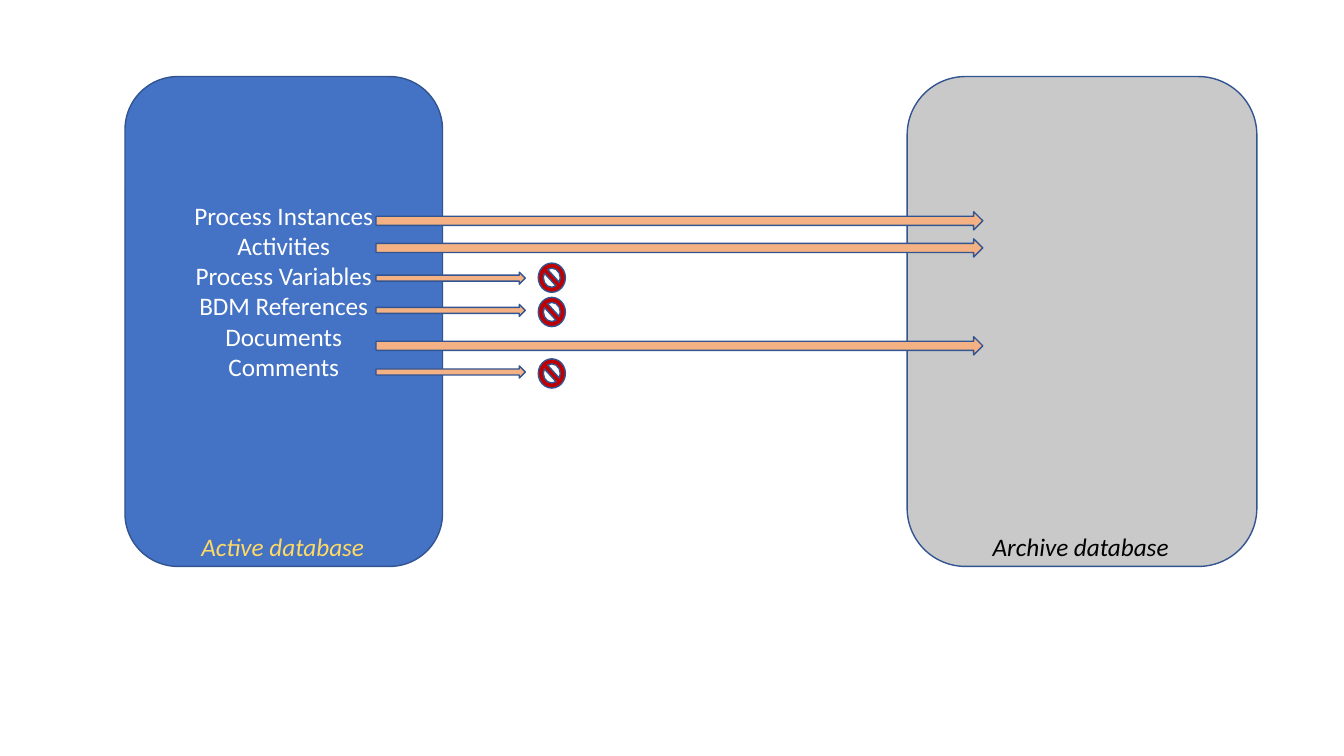
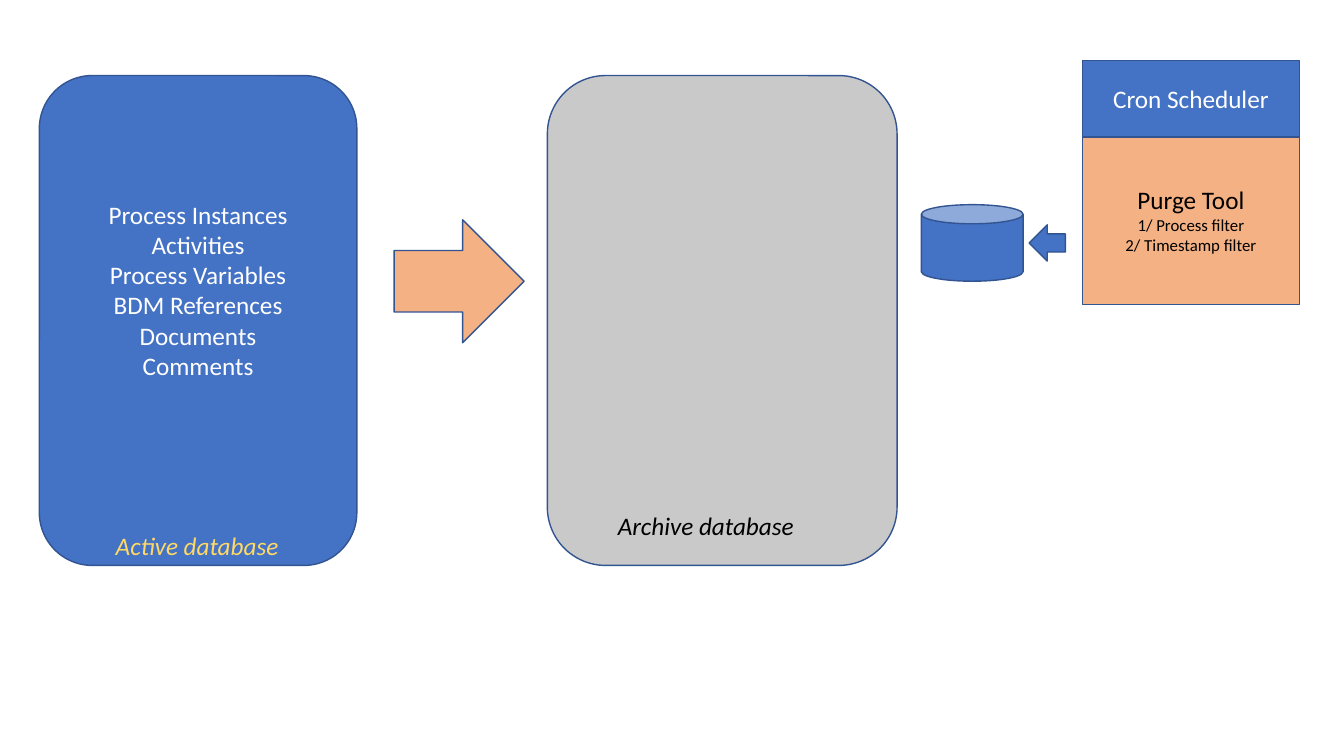
import pptx
import pptx.dml.color
import pptx.enum.shapes
import pptx.enum.text
import pptx.util

Pt = pptx.util.Pt
RGBColor = pptx.dml.color.RGBColor
SHAPE = pptx.enum.shapes.MSO_SHAPE
ALIGN = pptx.enum.text.PP_ALIGN
ANCHOR = pptx.enum.text.MSO_ANCHOR
AUTO_SIZE = pptx.enum.text.MSO_AUTO_SIZE

BLUE = RGBColor(0x44, 0x72, 0xC4)
OUTLINE = RGBColor(0x32, 0x54, 0x91)
GRAY = RGBColor(0xC9, 0xC9, 0xC9)
ORANGE = RGBColor(0xF4, 0xB1, 0x83)
YELLOW = RGBColor(0xFF, 0xD9, 0x66)
RED = RGBColor(0xC0, 0x00, 0x00)
WHITE = RGBColor(0xFF, 0xFF, 0xFF)
BLACK = RGBColor(0x00, 0x00, 0x00)

FONT = "Calibri"
BODY_SIZE = 18
DETAIL_SIZE = 12
DATABASE_HEIGHT = 349.9
ACTIVE_WIDTH = 226.8
ARCHIVE_WIDTH = 249.8
# Room kept under the record list, so that it sits above the middle.
LIST_BOTTOM_INSET = 47.5

# Each record type, the top of its arrow, and the top of its stop sign
# when it is not archived.
RECORDS = [
    ("Process Instances", 151.2, None),
    ("Activities", 170.6, None),
    ("Process Variables", 194.4, 187.9),
    ("BDM References", 217.4, 212.4),
    ("Documents", 240.5, None),
    ("Comments", 261.4, 256.3),
]


def add_figure(page, kind, left, top, width, height, fill):
    """Add a filled, outlined preset shape without shadow."""
    figure = page.shapes.add_shape(kind, Pt(left), Pt(top), Pt(width), Pt(height))
    figure.shadow.inherit = False
    figure.fill.solid()
    figure.fill.fore_color.rgb = fill
    figure.line.color.rgb = OUTLINE
    figure.line.width = Pt(1)
    return figure


def format_span(span, size, color, italic=False):
    """Set the font of one run."""
    span.font.name = FONT
    span.font.size = Pt(size)
    span.font.color.rgb = color
    span.font.italic = italic


def write_lines(figure, lines, color):
    """Write centred (text, size) lines into a shape."""
    frame = figure.text_frame
    frame.word_wrap = True
    frame.vertical_anchor = ANCHOR.MIDDLE
    frame.text = "\n".join(text for text, size in lines)
    for para, (text, size) in zip(frame.paragraphs, lines):
        para.alignment = ALIGN.CENTER
        format_span(para.runs[0], size, color)


def add_label(page, text, left, top, width, color):
    """Add an italic, unwrapped caption."""
    box = page.shapes.add_textbox(Pt(left), Pt(top), Pt(width), Pt(28.8))
    frame = box.text_frame
    frame.word_wrap = False
    frame.auto_size = AUTO_SIZE.SHAPE_TO_FIT_TEXT
    frame.text = text
    format_span(frame.paragraphs[0].runs[0], BODY_SIZE, color, italic=True)


def add_active_database(page, left, top):
    """Add the active database with its record types and caption."""
    database = add_figure(page, SHAPE.ROUNDED_RECTANGLE, left, top,
                          ACTIVE_WIDTH, DATABASE_HEIGHT, BLUE)
    write_lines(database, [(name, BODY_SIZE) for name, *tops in RECORDS], WHITE)
    database.text_frame.margin_bottom = Pt(LIST_BOTTOM_INSET)
    add_label(page, "Active database", left + 47.5, top + 321.1, 131.8, YELLOW)


def add_archive_database(page, left, top, label_left, label_top):
    """Add the archive database and its caption."""
    add_figure(page, SHAPE.ROUNDED_RECTANGLE, left, top,
               ARCHIVE_WIDTH, DATABASE_HEIGHT, GRAY)
    add_label(page, "Archive database", label_left, label_top, 141.8, BLACK)


def add_record_flow(page, arrow_top, stop_top):
    """Add a long arrow into the archive, or a short one to a stop sign."""
    width, height = (433.4, 13) if stop_top is None else (106.6, 8.6)
    add_figure(page, SHAPE.RIGHT_ARROW, 268.6, arrow_top, width, height, ORANGE)
    if stop_top is not None:
        add_figure(page, SHAPE.NO_SYMBOL, 384.5, stop_top, 19.4, 20.9, RED)


def add_purge_tool(page):
    """Add the scheduled purge tool and the store it acts on."""
    left, width = 773.3, 154.8
    add_figure(page, SHAPE.CAN, 658.1, 146.2, 72.7, 54.7, BLUE)
    tool = add_figure(page, SHAPE.RECTANGLE, left, 96.5, width, 121, ORANGE)
    write_lines(tool, [("Purge Tool", BODY_SIZE),
                       ("1/ Process filter", DETAIL_SIZE),
                       ("2/ Timestamp filter", DETAIL_SIZE)], BLACK)
    add_figure(page, SHAPE.LEFT_ARROW, 735.1, 160.6, 25.9, 25.9, BLUE)
    scheduler = add_figure(page, SHAPE.RECTANGLE, left, 43.2, width, 54.7, BLUE)
    write_lines(scheduler, [("Cron Scheduler", BODY_SIZE)], WHITE)


def build_archive_slide(page):
    """Show which record types reach the archive."""
    add_active_database(page, 89.3, 54.7)
    add_archive_database(page, 648, 54.7, 702, 375.8)
    for name, arrow_top, stop_top in RECORDS:
        add_record_flow(page, arrow_top, stop_top)


def build_purge_slide(page):
    """Show the purge of the archive by a scheduled tool."""
    add_active_database(page, 28.1, 54)
    add_archive_database(page, 391, 54, 434.2, 360.7)
    add_figure(page, SHAPE.RIGHT_ARROW, 281.5, 157, 92.9, 87.8, ORANGE)
    add_purge_tool(page)


def main():
    """Build and save the deck."""
    deck = pptx.Presentation()
    deck.slide_width = Pt(960)
    deck.slide_height = Pt(540)
    for build in (build_archive_slide, build_purge_slide):
        build(deck.slides.add_slide(deck.slide_layouts[6]))
    deck.save("out.pptx")


main()
